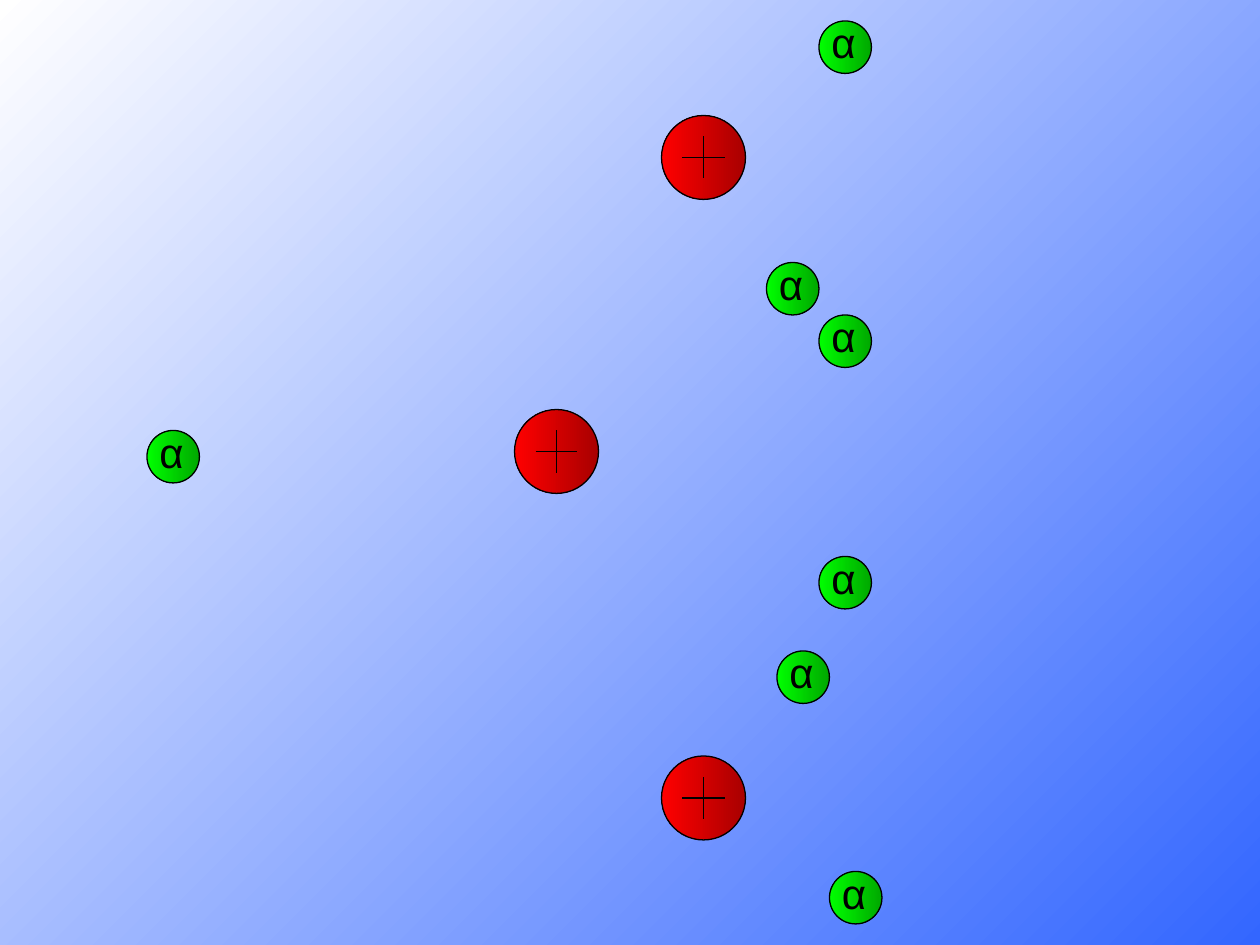
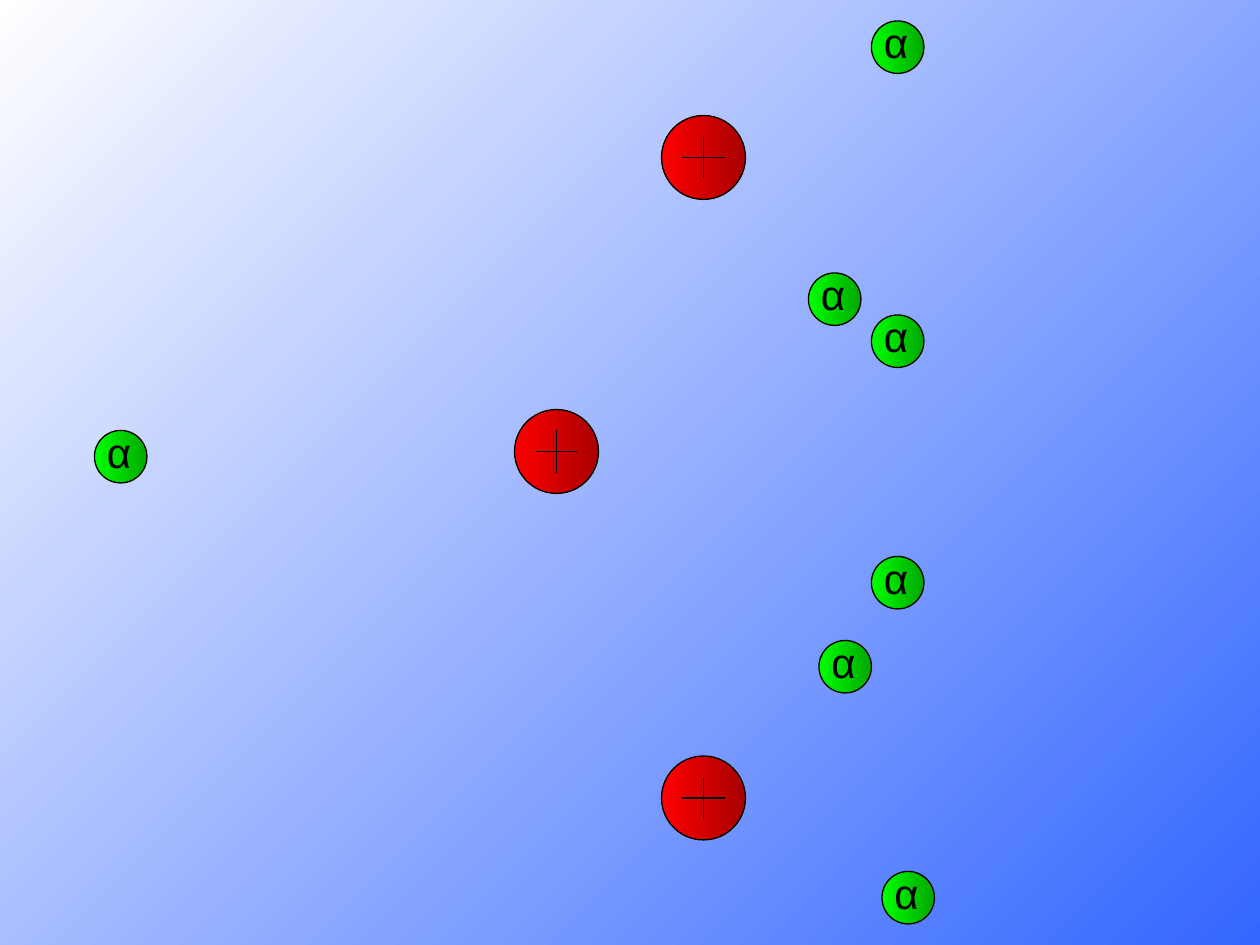
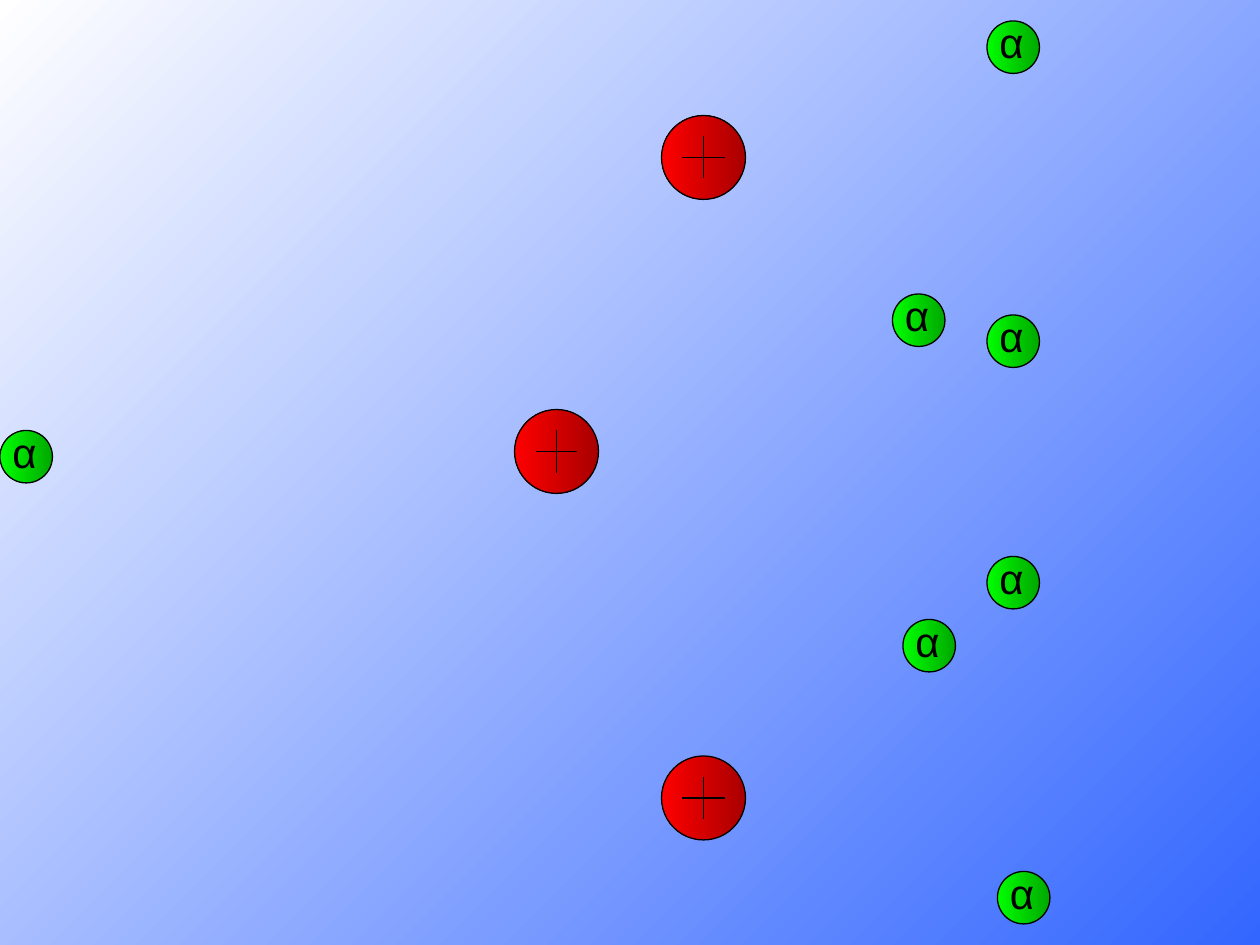
from pptx import Presentation
from pptx.dml.color import RGBColor
from pptx.enum.shapes import MSO_CONNECTOR, MSO_SHAPE
from pptx.enum.text import MSO_AUTO_SIZE
from pptx.oxml.ns import qn
from pptx.util import Cm, Pt
from lxml.etree import SubElement

BLACK = "000000"
BACKGROUND = ("3366FF", "FFFFFF")
NUCLEUS_RED = ("A80000", "FF0000")
ALPHA_GREEN = ("00A800", "00FF00")
ALPHA_FONT = {"name": "Arial", "size": Pt(24)}
LABEL_FRAME = {"word_wrap": False, "auto_size": MSO_AUTO_SIZE.SHAPE_TO_FIT_TEXT}

# Places and sizes are counted in grid steps, 12 to the inch
GRID_STEP = 2.54 / 12
PAGE_WIDTH, PAGE_HEIGHT = 120, 90
NUCLEUS_SIZE = 8
CROSS_ARM = 2
ALPHA_SIZE = 5

NUCLEI = [(63, 11), (49, 39), (63, 72)]
ALPHA_STAGES = [
    [(74, 62), (14, 41), (73, 25), (79, 83), (78, 2), (78, 53), (78, 30)],
    [(78, 61), (9, 41), (77, 26), (84, 83), (83, 2), (83, 53), (83, 30)],
    [(86, 59), (0, 41), (85, 28), (95, 83), (94, 2), (94, 53), (94, 30)],
]


def color(hex_value):
    return RGBColor.from_string(hex_value)


def grid(*steps):
    """Turn counts of grid steps into lengths."""
    return [Cm(step * GRID_STEP) for step in steps]


def set_format(target, values):
    for name, value in values.items():
        setattr(target, name, value)


def set_gradient(fill, stop_colors, angle):
    fill.gradient()
    fill.gradient_angle = angle
    for stop, hex_value in zip(fill.gradient_stops, stop_colors):
        stop.color.rgb = color(hex_value)


def set_outline(shape):
    shape.line.color.rgb = color(BLACK)
    shape.line.width = Pt(0.75)


def add_ball(shapes, left, top, size, stop_colors):
    ball = shapes.add_shape(MSO_SHAPE.OVAL, *grid(left, top, size, size))
    ball.shadow.inherit = False
    set_gradient(ball.fill, stop_colors, 180)
    set_outline(ball)


def add_nucleus(page, left, top):
    """Group a red ball with a plus sign at its centre."""
    shapes = page.shapes.add_group_shape().shapes
    add_ball(shapes, left, top, NUCLEUS_SIZE, NUCLEUS_RED)
    center_x, center_y = left + NUCLEUS_SIZE / 2, top + NUCLEUS_SIZE / 2
    for arm_x, arm_y in [(0, CROSS_ARM), (CROSS_ARM, 0)]:
        stroke = shapes.add_connector(
            MSO_CONNECTOR.STRAIGHT,
            *grid(center_x - arm_x, center_y - arm_y, center_x + arm_x, center_y + arm_y))
        set_outline(stroke)
        SubElement(stroke._element.spPr, qn("a:effectLst"))


def add_alpha(page, left, top):
    add_ball(page.shapes, left, top, ALPHA_SIZE, ALPHA_GREEN)
    box = page.shapes.add_textbox(*grid(left, top - 1, ALPHA_SIZE, ALPHA_SIZE + 1))
    set_format(box.text_frame, LABEL_FRAME)
    span = box.text_frame.paragraphs[0].add_run()
    span.text = "α"
    set_format(span.font, ALPHA_FONT)
    span.font.color.rgb = color(BLACK)


def add_scattering_page(deck, alphas):
    page = deck.slides.add_slide(deck.slide_layouts.get_by_name("Blank"))
    for left, top in NUCLEI:
        add_nucleus(page, left, top)
    for left, top in alphas:
        add_alpha(page, left, top)


def main():
    deck = Presentation()
    deck.slide_width, deck.slide_height = grid(PAGE_WIDTH, PAGE_HEIGHT)
    set_gradient(deck.slide_master.background.fill, BACKGROUND, 135)
    for alphas in ALPHA_STAGES:
        add_scattering_page(deck, alphas)
    deck.save("out.pptx")


if __name__ == "__main__":
    main()
